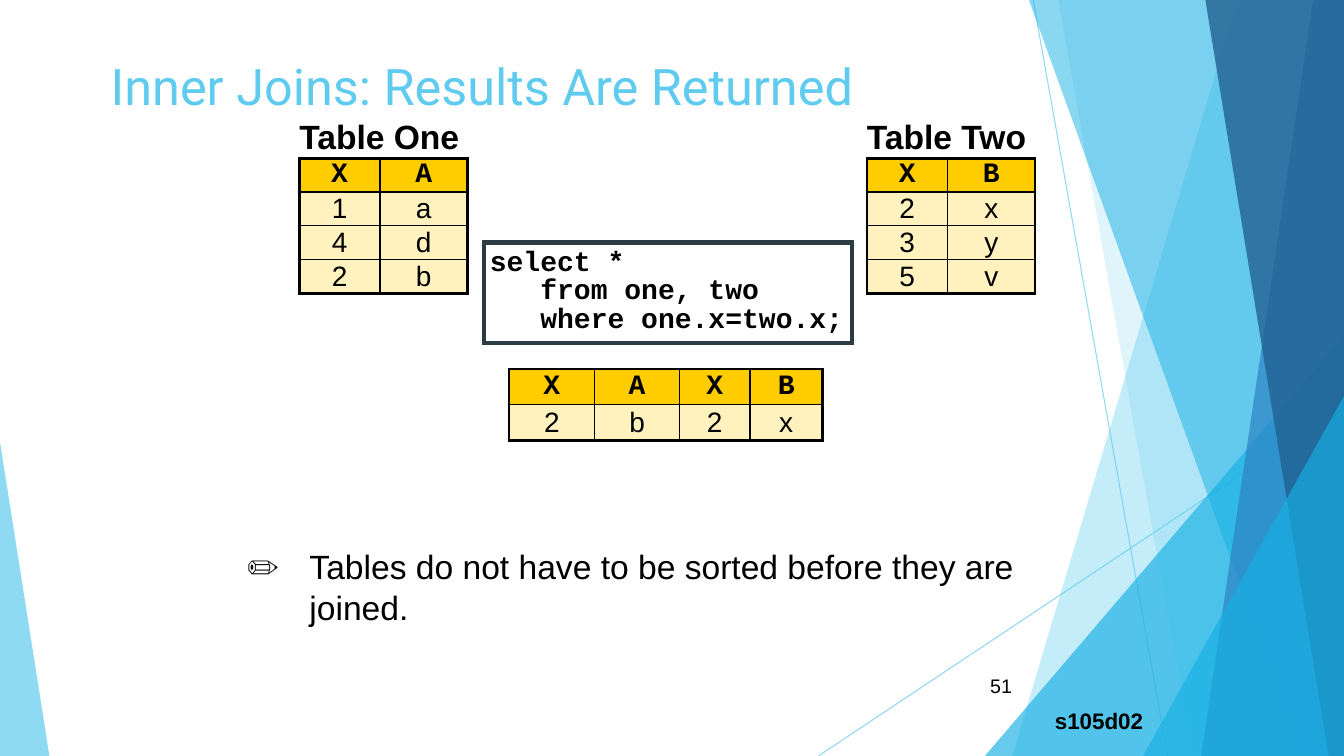
from dataclasses import dataclass

from lxml import etree
from pptx import Presentation
from pptx.dml.color import RGBColor
from pptx.enum.shapes import MSO_CONNECTOR, MSO_SHAPE
from pptx.enum.text import MSO_ANCHOR, MSO_AUTO_SIZE, PP_ALIGN
from pptx.oxml.ns import qn
from pptx.util import Pt

STRAIGHT = MSO_CONNECTOR.STRAIGHT
PEAK, RECT = MSO_SHAPE.ISOSCELES_TRIANGLE, MSO_SHAPE.RECTANGLE
TOP, MIDDLE = MSO_ANCHOR.TOP, MSO_ANCHOR.MIDDLE
LEFT, CENTER, RIGHT = PP_ALIGN.LEFT, PP_ALIGN.CENTER, PP_ALIGN.RIGHT
FIXED = MSO_AUTO_SIZE.NONE

WIDE, HIGH = 960, 540
THICK, THIN = 2.25, 1
SANS, MONO, HEAD = "Arial", "Courier New", "Roboto"
COLORS = {
    "sky": "5FCBEF", "aqua": "17B0E4", "blue": "2E83C3", "navy": "226292",
    "gold": "FFCC00", "cream": "FFF2BE", "slate": "2C3C43",
    "black": "000000", "white": "FFFFFF",
}


@dataclass
class Ray:
    start: tuple[float, float]
    end: tuple[float, float]


@dataclass
class Band:
    """Fills from a slanted edge to the right side of the slide."""
    top: float
    foot: float
    color: str
    alpha: int


@dataclass
class Wedge:
    box: tuple[float, float, float, float]
    peak: float
    color: str
    alpha: int


@dataclass
class Grid:
    left: float
    top: float
    name: str
    cols: list[float]
    title: float
    row: float
    data: list[str]


@dataclass
class Label:
    box: tuple[float, float, float, float]
    text: str
    size: float
    font: str = SANS
    color: str = "black"
    bold: bool = False
    align: int = LEFT
    anchor: int = TOP
    inset: tuple[float, float] = (7.2, 3.6)
    wrap: bool = True
    space: float = 1.0


DECOR = [
    Ray((738, 0), (834, HIGH)),
    Ray((WIDE, 290), (584.6, HIGH)),
    Band(884, 723, "sky", 36),
    Band(756, 852, "sky", 20),
    Wedge((703.5, 239.8, 256.5, 300.2), 1, "aqua", 66),
    Band(735, 929.5, "aqua", 50),
    Band(938, 858, "blue", 70),
    Band(861, 949, "navy", 80),
    Wedge((816.5, 283, 143.5, 257), 1, "aqua", 66),
    Wedge((0, 316, 35.3, 224), 0, "sky", 70),
]
GRIDS = [
    Grid(363.6, 233.3, "", [61.2, 60.5, 50.4, 51.8], 30.2, 25.7, ["XAXB", "2b2x"]),
    Grid(213.8, 84.2, "Table One", [57.6, 62.6], 28.8, 24.2, ["XA", "1a", "4d", "2b"]),
    Grid(619.2, 84.2, "Table Two", [57.6, 62.6], 28.8, 24.2, ["XB", "2x", "3y", "5v"]),
]
TITLE = Label((72, 36, 888, 54), "Inner Joins: Results Are Returned", 36, HEAD, "sky")
NUMBER = Label((676, 475.7, 54, 28.8), "51", 14, align=RIGHT, anchor=MIDDLE)
CODE = Label((345.6, 173.2, 262.8, 72), "select *\n   from one, two\n   where one.x=two.x;",
             20, MONO, bold=True, inset=(4.3, 4.3), wrap=False, space=0.85)
FILE = Label((740.6, 498.2, 83, 33), "s105d02", 16, bold=True, align=RIGHT,
             inset=(7.2, 7.2))
NOTE = Label((176.4, 390.2, 615.6, 95.8), "✏\t", 24, bold=True, inset=(0, 0))
POINT = "Tables do not have to be sorted before they are joined."


def points(nums) -> list:
    return [Pt(num) for num in nums]


def tint(name: str) -> RGBColor:
    return RGBColor.from_string(COLORS[name])


def fade(shape, alpha: int) -> None:
    color = shape._element.spPr.xpath(".//a:srgbClr")[0]
    etree.SubElement(color, qn("a:alpha"), val=str(alpha * 1000))


def style(run, size: float, font: str, color: str, bold: bool) -> None:
    run.font.size, run.font.name, run.font.bold = Pt(size), font, bold
    run.font.color.rgb = tint(color)


def draw_decor(shapes, part: Ray | Band | Wedge) -> None:
    if isinstance(part, Ray):
        line = shapes.add_connector(STRAIGHT, *points(part.start + part.end))
        line.line.width, line.line.color.rgb = Pt(0.75), tint("sky")
        etree.SubElement(line._element.spPr, qn("a:effectLst"))
        fade(line, 70)
        return
    if isinstance(part, Band):
        pen = shapes.build_freeform(part.top, 0, scale=Pt(1))
        pen.add_line_segments([(WIDE, 0), (WIDE, HIGH), (part.foot, HIGH)])
        shape = pen.convert_to_shape()
    else:
        shape = shapes.add_shape(PEAK, *points(part.box))
        shape.adjustments[0] = part.peak
    shape.shadow.inherit = False
    shape.line.fill.background()
    shape.fill.solid()
    shape.fill.fore_color.rgb = tint(part.color)
    fade(shape, part.alpha)


def fill_label(shape, label: Label):
    frame = shape.text_frame
    frame.text = label.text
    frame.word_wrap, frame.auto_size = label.wrap, FIXED
    frame.vertical_anchor = label.anchor
    frame.margin_left = frame.margin_right = Pt(label.inset[0])
    frame.margin_top = frame.margin_bottom = Pt(label.inset[1])
    for para in frame.paragraphs:
        para.alignment, para.line_spacing = label.align, label.space
        for run in para.runs:
            style(run, label.size, label.font, label.color, label.bold)
    return frame


def draw_label(shapes, label: Label):
    return fill_label(shapes.add_textbox(*points(label.box)), label)


def set_edge(cell, side: str, width: float) -> None:
    edge = etree.SubElement(cell._tc.get_or_add_tcPr(), qn(f"a:ln{side}"),
                            w=str(Pt(width)))
    if not width:
        etree.SubElement(edge, qn("a:noFill"))
        return
    fill = etree.SubElement(edge, qn("a:solidFill"))
    etree.SubElement(fill, qn("a:srgbClr"), val=COLORS["black"])


def draw_grid(shapes, grid: Grid) -> None:
    last, end = len(grid.data), len(grid.cols) - 1
    highs = [grid.title] + [grid.row] * last
    box = points((grid.left, grid.top, sum(grid.cols), sum(highs)))
    table = shapes.add_table(last + 1, end + 1, *box).table
    table.first_row = table.horz_banding = False
    for col, width in zip(table.columns, grid.cols):
        col.width = Pt(width)
    for row, high in zip(table.rows, highs):
        row.height = Pt(high)
    table.cell(0, 0).merge(table.cell(0, end))
    texts = [[grid.name] + [""] * end] + [list(line) for line in grid.data]
    for r, line in enumerate(texts):
        for c, text in enumerate(line):
            cell = table.cell(r, c)
            # Heavy frame, thin inner lines, open title row
            inner = THIN if r else 0
            heavy = {"L": r and c == 0, "R": r and c == end,
                     "T": r == 1, "B": r in (0, last)}
            for side, thick in heavy.items():
                set_edge(cell, side, THICK if thick else inner)
            if r:
                cell.fill.solid()
                cell.fill.fore_color.rgb = tint("gold" if r == 1 else "cream")
            else:
                cell.fill.background()
            cell.vertical_anchor = MIDDLE
            cell.margin_left = cell.margin_right = Pt(7.2 if r else 0)
            cell.margin_top = cell.margin_bottom = Pt(0)
            cell.text_frame.text = text
            para = cell.text_frame.paragraphs[0]
            para.alignment = CENTER if r else LEFT
            for run in para.runs:
                style(run, 20 if r else 24, MONO if r == 1 else SANS, "black", r < 2)


def main() -> None:
    deck = Presentation()
    deck.slide_width, deck.slide_height = points((WIDE, HIGH))
    shapes = deck.slides.add_slide(deck.slide_layouts[6]).shapes

    # Backdrop
    for part in DECOR:
        draw_decor(shapes, part)

    # Title, tables and labels
    draw_label(shapes, TITLE)
    for grid in GRIDS:
        draw_grid(shapes, grid)
    draw_label(shapes, NUMBER)
    draw_label(shapes, FILE)

    # Query box with square corners
    query = shapes.add_shape(RECT, *points(CODE.box))
    query.shadow.inherit = False
    query.fill.solid()
    query.fill.fore_color.rgb = tint("white")
    query.line.width, query.line.color.rgb = Pt(3), tint("slate")
    edge = query._element.spPr.find(qn("a:ln"))
    etree.SubElement(edge, qn("a:miter"), lim="800000")
    fill_label(query, CODE)

    # Note with a hanging pencil
    para = draw_label(shapes, NOTE).paragraphs[0]
    props = para._p.get_or_add_pPr()
    props.set("marL", str(Pt(44.64)))
    props.set("indent", str(Pt(-44.64)))
    run = para.add_run()
    run.text = POINT
    style(run, NOTE.size, SANS, "black", False)

    deck.save("out.pptx")


if __name__ == "__main__":
    main()
